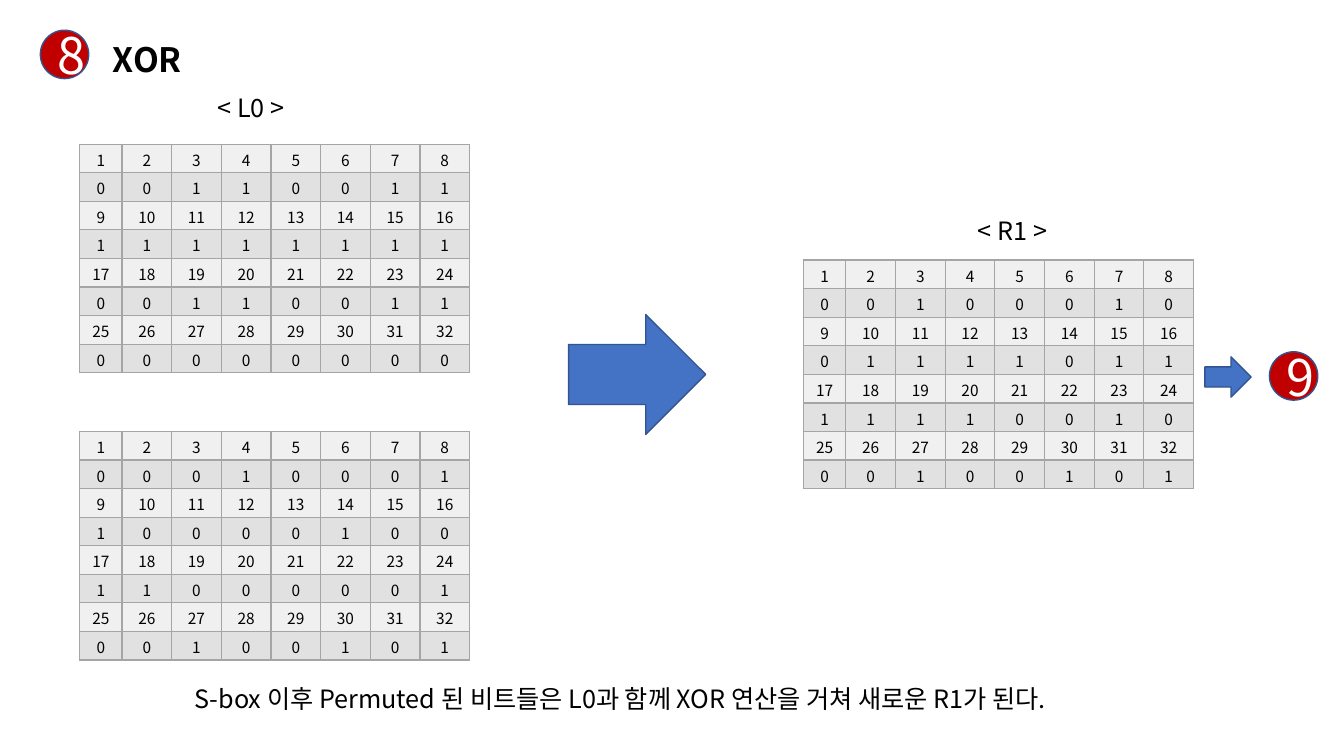
from dataclasses import dataclass

from lxml import etree
from pptx import Presentation
from pptx.dml.color import RGBColor
from pptx.enum.shapes import MSO_SHAPE
from pptx.enum.text import MSO_ANCHOR, MSO_AUTO_SIZE, PP_ALIGN
from pptx.oxml.ns import qn
from pptx.util import Inches, Pt

CIRCLE = MSO_SHAPE.FLOWCHART_CONNECTOR
RIGHT_ARROW = MSO_SHAPE.RIGHT_ARROW
TOP, MIDDLE = MSO_ANCHOR.TOP, MSO_ANCHOR.MIDDLE
LEFT, CENTER = PP_ALIGN.LEFT, PP_ALIGN.CENTER
GROW = MSO_AUTO_SIZE.SHAPE_TO_FIT_TEXT


@dataclass(frozen=True)
class Theme:
    font: str = "Noto Sans CJK KR"
    ink: str = "000000"
    white: str = "FFFFFF"
    badge: str = "C00000"
    arrow: str = "4472C4"
    outline: str = "325491"
    grid: str = "A5A5A5"
    index_row: str = "F0F0F0"
    bit_row: str = "E1E1E1"
    badge_size: int = 36
    title_size: int = 24
    text_size: int = 18
    cell_size: int = 11


THEME = Theme()
ROWS, COLUMNS = 8, 8
GRID_WIDTH, GRID_HEIGHT, FIRST_COLUMN = 3.87, 2.27, 0.42

L0_BITS = ["00110011", "11111111", "00110011", "00000000"]
PERMUTED_BITS = ["00010001", "10000100", "11000001", "00100101"]


def xor_bits(left, right):
    return f"{int(left, 2) ^ int(right, 2):0{COLUMNS}b}"


def write_text(frame, text, size=THEME.text_size, color=THEME.ink,
               bold=False, align=LEFT, anchor=TOP):
    frame.vertical_anchor = anchor
    paragraph = frame.paragraphs[0]
    paragraph.alignment = align
    run = paragraph.add_run()
    run.text = text
    run.font.name = THEME.font
    run.font.size = Pt(size)
    run.font.bold = bold
    run.font.color.rgb = RGBColor.from_string(color)
    east_asian = etree.SubElement(run.font._element, qn("a:ea"))
    east_asian.set("typeface", THEME.font)


def add_title(slide, text, left, top, width, height):
    title = slide.shapes.title
    title.left, title.top = Inches(left), Inches(top)
    title.width, title.height = Inches(width), Inches(height)
    write_text(title.text_frame, text, size=THEME.title_size, bold=True)
    title.text_frame.word_wrap = False
    title.text_frame.auto_size = GROW


def add_label(slide, text, left, top, width, height=0.4):
    label = slide.shapes.add_textbox(
        Inches(left), Inches(top), Inches(width), Inches(height))
    label.text_frame.word_wrap = True
    label.text_frame.auto_size = GROW
    write_text(label.text_frame, text)


def add_block(slide, preset, left, top, width, height, fill):
    block = slide.shapes.add_shape(
        preset, Inches(left), Inches(top), Inches(width), Inches(height))
    block.shadow.inherit = False
    block.fill.solid()
    block.fill.fore_color.rgb = RGBColor.from_string(fill)
    block.line.color.rgb = RGBColor.from_string(THEME.outline)
    block.line.width = Pt(1)
    return block


def add_badge(slide, number, left, top, diameter=0.48):
    badge = add_block(slide, CIRCLE, left, top, diameter, diameter, THEME.badge)
    write_text(badge.text_frame, number, size=THEME.badge_size,
               color=THEME.white, align=CENTER, anchor=MIDDLE)


def draw_borders(cell):
    properties = cell._tc.get_or_add_tcPr()
    for side in ("a:lnL", "a:lnR", "a:lnT", "a:lnB"):
        border = etree.SubElement(properties, qn(side), w=str(Pt(1)))
        solid = etree.SubElement(border, qn("a:solidFill"))
        etree.SubElement(solid, qn("a:srgbClr"), val=THEME.grid)


def format_cell(cell, text, fill):
    draw_borders(cell)
    cell.fill.solid()
    cell.fill.fore_color.rgb = RGBColor.from_string(fill)
    cell.margin_left = cell.margin_right = Inches(0.05)
    cell.margin_top, cell.margin_bottom = Inches(0.04), Inches(0.02)
    cell.vertical_anchor = MIDDLE
    write_text(cell.text_frame, text, size=THEME.cell_size, align=CENTER)


def add_bit_grid(slide, bit_rows, left, top):
    grid = slide.shapes.add_table(
        ROWS, COLUMNS, Inches(left), Inches(top),
        Inches(GRID_WIDTH), Inches(GRID_HEIGHT)).table
    grid.first_row = grid.horz_banding = False
    for number, column in enumerate(grid.columns):
        column.width = Inches(
            (GRID_WIDTH - FIRST_COLUMN) / (COLUMNS - 1) if number else FIRST_COLUMN)
    for group, bits in enumerate(bit_rows):
        for column, bit in enumerate(bits):
            position = str(group * COLUMNS + column + 1)
            format_cell(grid.cell(2 * group, column), position, THEME.index_row)
            format_cell(grid.cell(2 * group + 1, column), bit, THEME.bit_row)


def main():
    presentation = Presentation()
    presentation.slide_width = Inches(13.33)
    presentation.slide_height = Inches(7.5)
    slide = presentation.slides.add_slide(presentation.slide_layouts[5])

    add_badge(slide, "8", 0.4, 0.3)
    add_title(slide, "XOR", 1.02, 0.34, 0.9, 0.5)

    r1_bits = [xor_bits(*pair) for pair in zip(L0_BITS, PERMUTED_BITS)]
    add_bit_grid(slide, PERMUTED_BITS, 0.79, 4.28)
    add_bit_grid(slide, L0_BITS, 0.79, 1.43)
    add_bit_grid(slide, r1_bits, 7.97, 2.58)

    add_block(slide, RIGHT_ARROW, 5.64, 3.12, 1.36, 1.19, THEME.arrow)
    add_block(slide, RIGHT_ARROW, 11.95, 3.54, 0.46, 0.4, THEME.arrow)
    add_badge(slide, "9", 12.59, 3.49)

    add_label(slide, "< L0 >", 2.06, 0.87, 1.03)
    add_label(slide, "< R1 >", 9.6, 2.09, 1.03)
    add_label(
        slide,
        "S-box 이후 Permuted 된 비트들은 L0과 함께 XOR 연산을 거쳐 새로운 R1가 된다.",
        1.83, 6.73, 10.34)

    presentation.save("out.pptx")


if __name__ == "__main__":
    main()
